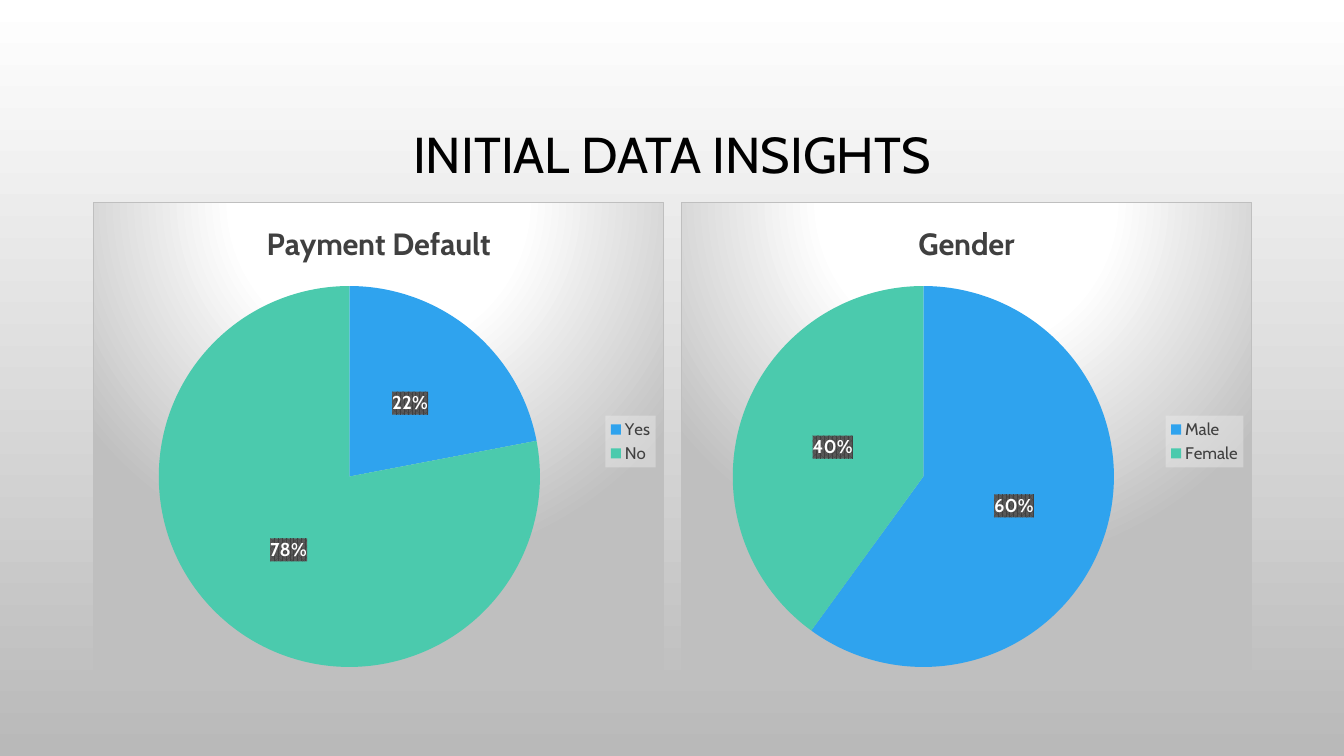
from lxml import etree
from pptx import Presentation
from pptx.chart.data import CategoryChartData
from pptx.dml.color import RGBColor
from pptx.enum.chart import XL_CHART_TYPE, XL_LABEL_POSITION, XL_LEGEND_POSITION
from pptx.enum.text import MSO_ANCHOR, PP_ALIGN
from pptx.oxml.ns import qn
from pptx.util import Inches, Pt

PIE = XL_CHART_TYPE.PIE
LABEL_CENTER = XL_LABEL_POSITION.CENTER
LEGEND_RIGHT = XL_LEGEND_POSITION.RIGHT
MIDDLE = MSO_ANCHOR.MIDDLE
CENTER = PP_ALIGN.CENTER

TITLE_ONLY = 5
FONT = "Cabin"
BLACK, WHITE, DARK = "000000", "FFFFFF", "404040"
SLICE_COLORS = ("2FA3EE", "4BCAAD")
PANEL_LEFT, PANEL_TOP = 0.92, 2
PANEL_WIDTH, PANEL_HEIGHT = 5.67, 4.76
PANEL_STEP = 5.83

NAMESPACES = (
    'xmlns:c="http://schemas.openxmlformats.org/drawingml/2006/chart" '
    'xmlns:a="http://schemas.openxmlformats.org/drawingml/2006/main"'
)
PANEL_FORMAT = """
<a:gradFill><a:gsLst>
  <a:gs pos="0"><a:srgbClr val="FFFFFF"/></a:gs>
  <a:gs pos="39000"><a:srgbClr val="FFFFFF"/></a:gs>
  <a:gs pos="100000"><a:srgbClr val="BFBFBF"/></a:gs>
</a:gsLst><a:path path="circle">
  <a:fillToRect l="50000" t="-80000" r="50000" b="180000"/>
</a:path></a:gradFill>
<a:ln w="9525"><a:solidFill><a:srgbClr val="BFBFBF"/></a:solidFill></a:ln>"""
LABEL_FORMAT = """
<a:pattFill prst="pct75">
  <a:fgClr><a:srgbClr val="404040"/></a:fgClr>
  <a:bgClr><a:srgbClr val="595959"/></a:bgClr>
</a:pattFill><a:ln><a:noFill/></a:ln>"""
LEGEND_FORMAT = """
<a:solidFill><a:srgbClr val="F2F2F2"><a:alpha val="39000"/></a:srgbClr></a:solidFill>
<a:ln><a:noFill/></a:ln>"""


def color(hex_string):
    return RGBColor.from_string(hex_string)


def shape_properties(content):
    """Return a chart spPr element holding the given fill and line XML."""
    return etree.fromstring(f"<c:spPr {NAMESPACES}>{content}</c:spPr>")


def set_font(font, size, hex_string, bold=False):
    font.name = FONT
    font.size = Pt(size)
    font.bold = bold
    font.color.rgb = color(hex_string)


class SlideBuilder:
    def __init__(self, presentation):
        self.slide = presentation.slides.add_slide(
            presentation.slide_layouts[TITLE_ONLY])

    def background(self, *hex_strings):
        """Fill the slide from top to bottom with a two-color gradient."""
        fill = self.slide.background.fill
        fill.gradient()
        fill.gradient_angle = 270
        for position, (stop, hex_string) in enumerate(
                zip(fill.gradient_stops, hex_strings)):
            stop.position = position
            stop.color.rgb = color(hex_string)

    def title(self, text):
        title = self.slide.shapes.title
        title.left, title.top = Inches(1), Inches(0.68)
        title.width, title.height = Inches(11.33), Inches(1.75)
        frame = title.text_frame
        frame.text = text
        frame.vertical_anchor = MIDDLE
        paragraph = frame.paragraphs[0]
        paragraph.alignment = CENTER
        paragraph.line_spacing = 0.9
        set_font(paragraph.font, 36, BLACK)

    def pie(self, column, name, shares):
        """Add a pie panel in the given column; shares maps category to percent."""
        data = CategoryChartData()
        data.categories = list(shares)
        data.add_series(name, list(shares.values()))
        chart = self.slide.shapes.add_chart(
            PIE, Inches(PANEL_LEFT + column * PANEL_STEP), Inches(PANEL_TOP),
            Inches(PANEL_WIDTH), Inches(PANEL_HEIGHT), data).chart
        set_font(chart.font, 10, BLACK)
        chart.element.find(qn("c:chart")).addnext(shape_properties(PANEL_FORMAT))

        chart.has_title = True
        chart.chart_title.include_in_layout = False
        chart.chart_title.text_frame.text = name
        set_font(chart.chart_title.text_frame.paragraphs[0].font, 22, DARK, True)

        chart.has_legend = True
        legend = chart.legend
        legend.position = LEGEND_RIGHT
        legend.include_in_layout = False
        set_font(legend.font, 12, DARK)
        self.format_before_text(legend, LEGEND_FORMAT)

        plot = chart.plots[0]
        plot.vary_by_categories = True
        series = plot.series[0]
        for index, hex_string in enumerate(SLICE_COLORS):
            fill = series.points[index].format.fill
            fill.solid()
            fill.fore_color.rgb = color(hex_string)

        labels = series.data_labels
        labels.show_percentage = True
        labels.show_value = False
        labels.number_format = "0%"
        labels.number_format_is_linked = False
        labels.position = LABEL_CENTER
        set_font(labels.font, 13.3, WHITE, True)
        self.format_before_text(labels, LABEL_FORMAT)

    @staticmethod
    def format_before_text(part, content):
        """Insert fill and line ahead of a chart part's text properties."""
        text_properties = part._element.find(qn("c:txPr"))
        text_properties.addprevious(shape_properties(content))


def main():
    presentation = Presentation()
    presentation.slide_width = Inches(13.33)
    presentation.slide_height = Inches(7.5)
    builder = SlideBuilder(presentation)
    builder.background(WHITE, "B9B9B9")
    builder.title("INITIAL DATA INSIGHTS")
    builder.pie(0, "Payment Default", {"Yes": 22, "No": 78})
    builder.pie(1, "Gender", {"Male": 60, "Female": 40})
    presentation.save("out.pptx")


if __name__ == "__main__":
    main()
